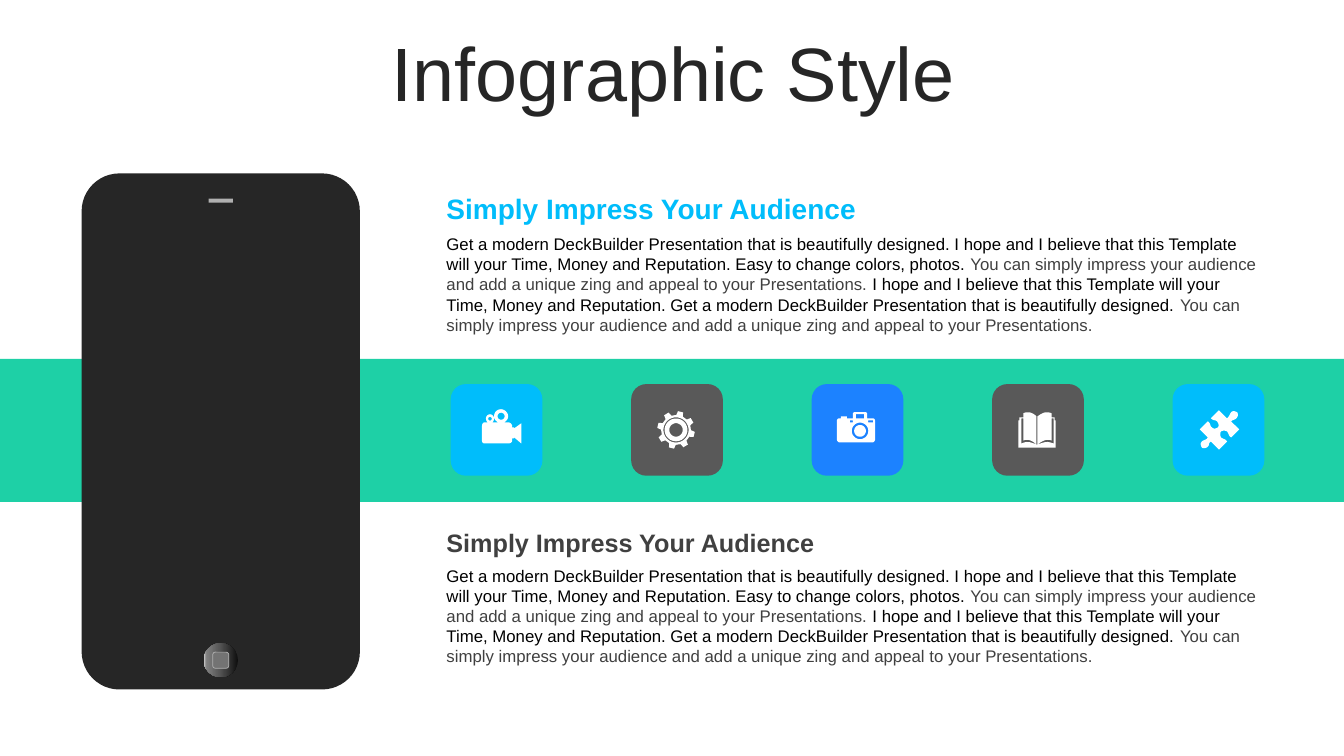
import math
from lxml import etree
from pptx import Presentation, util as u
from pptx.dml.color import RGBColor
from pptx.enum import shapes, text
from pptx.oxml.ns import qn

WIDTH, HEIGHT = 13.33, 7.5
FONT = "Arial"
DARK, GREY, SILVER, WHITE = "262626", "404040", "B0B0B0", "FFFFFF"
SKY, SLATE, BLUE, GREEN = "00BDFB", "595959", "1C82FF", "1ED0A6"

TITLE = "Infographic Style"
HEADING = "Simply Impress Your Audience"
BODY = [
    ("Get a modern DeckBuilder Presentation that is beautifully designed. I hope and I believe that this "
     "Template will your Time, Money and Reputation. Easy to change colors, photos. ", "000000"),
    ("You can simply impress your audience and add a unique zing and appeal to your Presentations. ", GREY),
    ("I hope and I believe that this Template will your Time, Money and Reputation. Get a modern "
     "DeckBuilder Presentation that is beautifully designed. ", "000000"),
    ("You can simply impress your audience and add a unique zing and appeal to your Presentations.", GREY),
]
SECTIONS = [(1.85, 0.44, 20, SKY, 2.27), (5.18, 0.4, 18, GREY, 5.56)]
TEXT_LEFT, TEXT_WIDTH, BODY_HEIGHT = 4.33, 8.3, 1.11
TILE_LEFT, TILE_TOP, TILE_SIZE, TILE_STEP = 4.47, 3.81, 0.91, 1.79
BUTTON_STOPS = [(0, "0F0F0F"), (56, "595959"), (91, "808080"), (100, "BFBFBF")]


def circle(x, y, radius, steps=36):
    angles = [2 * math.pi * i / steps for i in range(steps)]
    return [(x + radius * math.cos(a), y + radius * math.sin(a)) for a in angles]


def box(left, top, right, bottom):
    return [(left, top), (right, top), (right, bottom), (left, bottom)]


def gear(x, y, root, tip, teeth=8, start=-76):
    profile = [(-13, root), (-8, tip), (8, tip), (13, root)]
    polar = [(math.radians(start + 360 * i / teeth + turn), radius)
             for i in range(teeth) for turn, radius in profile]
    return [(x + r * math.cos(a), y + r * math.sin(a)) for a, r in polar]


VIDEO = [
    [(50, 25), (53, 25, 57, 28, 57, 32), (57, 35, 55, 37, 53, 38), (57, 38), (59, 38, 61, 40, 61, 42),
     (61, 43), (63, 43), (63, 44), (70, 39), (70, 59), (63, 53), (63, 54), (61, 54), (61, 56),
     (61, 58, 59, 59, 57, 59), (34, 59), (32, 59, 31, 58, 31, 56), (31, 42), (31, 40, 32, 38, 34, 38),
     (37, 38), (36, 38, 35, 36, 35, 34), (35, 32, 37, 30, 39, 30), (41, 30, 43, 32, 43, 34),
     (43, 36, 42, 38, 41, 38), (47, 38), (45, 37, 43, 35, 43, 32), (43, 28, 46, 25, 50, 25)],
    circle(39, 34.5, 1.8), circle(50, 32, 3.5),
]
SETTINGS = [gear(44.5, 45.5, 14.8, 18.7), circle(44.5, 45.5, 12.5),
            circle(44.5, 45.5, 11.3), circle(44.5, 45.5, 6.7)]
CAMERA = [
    [(42, 28), (54, 28), (55, 29), (55, 34), (60, 34), (62, 34, 63, 35, 63, 37), (63, 55),
     (63, 56, 62, 58, 60, 58), (28, 58), (26, 58, 25, 56, 25, 55), (25, 37), (25, 35, 26, 34, 28, 34),
     (29, 34), (29, 32), (35, 32), (35, 34), (41, 34), (41, 29)],
    circle(48, 46.5, 8.2), circle(48, 46.5, 5.8),
    box(38, 36, 41, 38), box(56, 36, 61, 38), box(44, 30, 52, 34),
]
BOOK = [
    [(44, 60), (45, 60), (51, 58, 54, 56, 61, 59), (61, 34), (59, 34), (59, 56), (55, 54, 50, 56, 45, 60),
     (45, 32), (48, 30, 51, 28, 54, 28), (55, 28, 57, 28, 59, 29), (59, 33), (62, 33), (62, 36), (63, 36),
     (63, 63), (26, 63), (26, 36), (27, 36), (27, 33), (31, 33), (31, 29), (33, 28, 34, 28, 36, 28),
     (39, 28, 42, 30, 44, 32), (44, 60), (40, 56, 35, 54, 31, 56), (31, 34), (29, 34), (29, 59),
     (35, 56, 39, 58, 44, 60)],
]
PUZZLE = [
    [(64, 28), (65, 29, 65, 32, 64, 33), (62, 36, 60, 35, 58, 37), (66, 45), (58, 53),
     (55, 51, 56, 49, 54, 47), (52, 46, 50, 46, 48, 47), (47, 48, 47, 51, 48, 53), (51, 55, 52, 54, 54, 57),
     (46, 65), (38, 57), (35, 59, 37, 60, 35, 62), (33, 64, 30, 64, 29, 63), (28, 61, 27, 59, 29, 57),
     (31, 55, 33, 56, 35, 53), (27, 45), (35, 37), (38, 39, 37, 42, 39, 43), (41, 45, 43, 44, 45, 43),
     (46, 42, 46, 39, 44, 37), (42, 35, 41, 37, 38, 34), (46, 26), (54, 34), (57, 31, 56, 31, 58, 28),
     (60, 26, 62, 27, 64, 28)],
]
TILES = [(SKY, VIDEO), (SLATE, SETTINGS), (BLUE, CAMERA), (SLATE, BOOK), (SKY, PUZZLE)]


def color(value):
    return RGBColor.from_string(value)


def paint(shape, fill, line=None, weight=0.5):
    shape.shadow.inherit = False
    shape.fill.solid()
    shape.fill.fore_color.rgb = color(fill)
    if line:
        shape.line.color.rgb = color(line)
        shape.line.width = u.Pt(weight)
    else:
        shape.line.fill.background()


def add_block(slide, kind, place, fill, line=None, corner=None):
    shape = slide.shapes.add_shape(kind, *map(u.Inches, place))
    paint(shape, fill, line)
    if corner is not None:
        shape.adjustments[0] = corner
    return shape


def add_run(paragraph, words, size, ink, bold=False):
    run = paragraph.add_run()
    run.text = words
    run.font.name, run.font.size, run.font.bold = FONT, u.Pt(size), bold
    run.font.color.rgb = color(ink)


def add_text(slide, place, runs, size, bold=False):
    frame = slide.shapes.add_textbox(*map(u.Inches, place)).text_frame
    frame.word_wrap = True
    for words, ink in runs:
        add_run(frame.paragraphs[0], words, size, ink, bold)


def flatten(contour, steps=6):
    points = [contour[0]]
    for segment in contour[1:]:
        if len(segment) == 2:
            points.append(segment)
            continue
        x0, y0 = points[-1]
        x1, y1, x2, y2, x3, y3 = segment
        for i in range(1, steps + 1):
            t = i / steps
            s = 1 - t
            a, b, c, d = s ** 3, 3 * s * s * t, 3 * s * t * t, t ** 3
            points.append((a * x0 + b * x1 + c * x2 + d * x3, a * y0 + b * y1 + c * y2 + d * y3))
    return [(u.Inches(x / 100), u.Inches(y / 100)) for x, y in points]


def add_icon(slide, left, top, contours):
    first, *others = [flatten(contour) for contour in contours]
    builder = slide.shapes.build_freeform(*first[0])
    builder.add_line_segments(first[1:])
    for points in others:
        builder.move_to(*points[0])
        builder.add_line_segments(points[1:])
    paint(builder.convert_to_shape(u.Inches(left), u.Inches(top)), WHITE)


def add_phone(slide):
    kinds = shapes.MSO_SHAPE
    add_block(slide, kinds.ROUNDED_RECTANGLE, (0.81, 1.72, 2.76, 5.12), DARK, corner=0.136)
    add_block(slide, kinds.RECTANGLE, (2.07, 1.97, 0.24, 0.04), SILVER)
    button = add_block(slide, kinds.OVAL, (2.02, 6.38, 0.34, 0.34), DARK)
    button.fill.gradient()
    button.fill.gradient_angle = 180
    stops = button._element.spPr.find(qn("a:gradFill")).find(qn("a:gsLst"))
    for stop in list(stops):
        stops.remove(stop)
    for position, value in BUTTON_STOPS:
        stop = etree.SubElement(stops, qn("a:gs"), pos=str(position * 1000))
        etree.SubElement(stop, qn("a:srgbClr"), val=value)
    add_block(slide, kinds.ROUNDED_RECTANGLE, (2.11, 6.47, 0.16, 0.16), "737373", SILVER)


def add_title(slide):
    title = slide.shapes.title
    title.left, title.top, title.width, title.height = map(u.Inches, (0.35, 0.37, 12.66, 0.79))
    frame = title.text_frame
    frame.auto_size = text.MSO_AUTO_SIZE.NONE
    frame.vertical_anchor = text.MSO_ANCHOR.MIDDLE
    paragraph = frame.paragraphs[0]
    paragraph.alignment = text.PP_ALIGN.CENTER
    paragraph.line_spacing = 0.9
    add_run(paragraph, TITLE, 54, DARK)


def main():
    presentation = Presentation()
    presentation.slide_width, presentation.slide_height = u.Inches(WIDTH), u.Inches(HEIGHT)
    slide = presentation.slides.add_slide(presentation.slide_layouts[5])
    add_block(slide, shapes.MSO_SHAPE.RECTANGLE, (0, 3.56, WIDTH, 1.42), GREEN)
    add_phone(slide)
    add_title(slide)
    for column, (fill, icon) in enumerate(TILES):
        left = TILE_LEFT + column * TILE_STEP
        add_block(slide, shapes.MSO_SHAPE.ROUNDED_RECTANGLE, (left, TILE_TOP, TILE_SIZE, TILE_SIZE), fill)
        add_icon(slide, left, TILE_TOP, icon)
    for top, height, size, ink, body_top in SECTIONS:
        add_text(slide, (TEXT_LEFT, top, TEXT_WIDTH, height), [(HEADING, ink)], size, True)
        add_text(slide, (TEXT_LEFT, body_top, TEXT_WIDTH, BODY_HEIGHT), BODY, 12)
    presentation.save("out.pptx")


if __name__ == "__main__":
    main()
